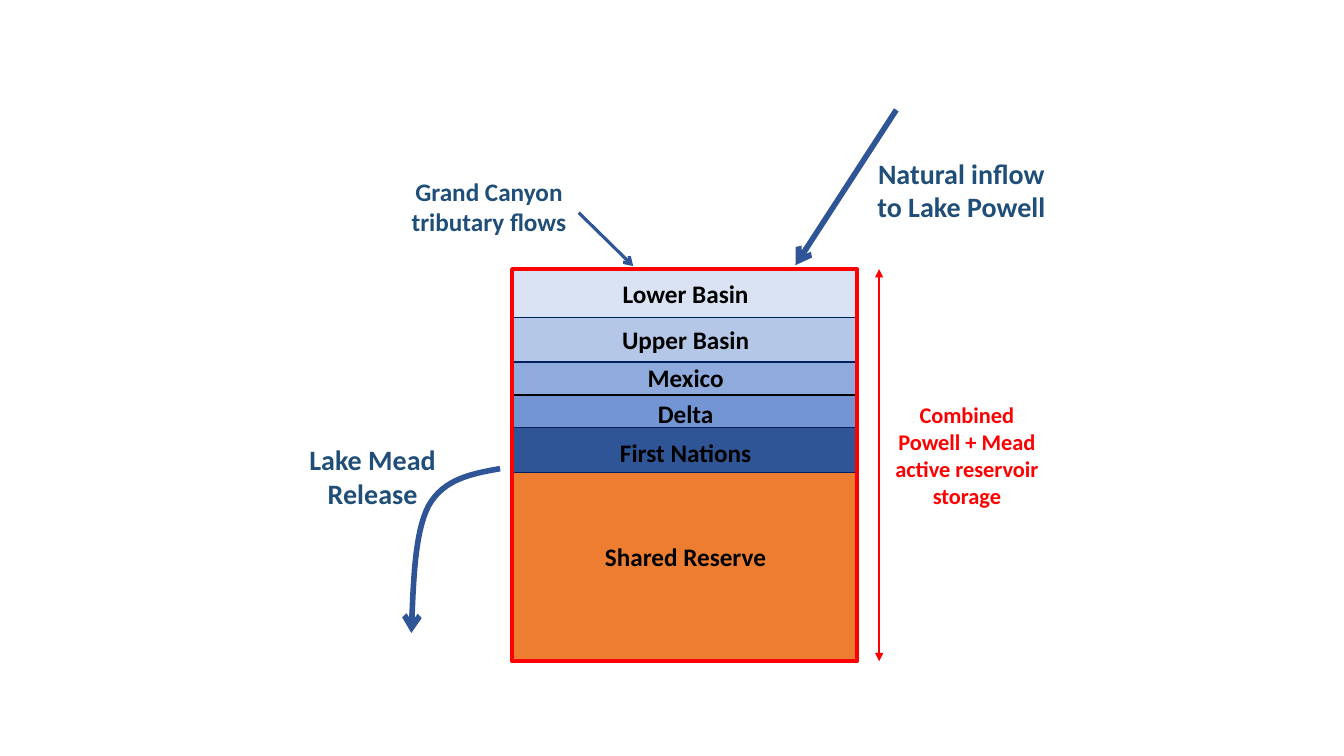
from itertools import accumulate

from lxml.etree import SubElement
from pptx import Presentation
from pptx.dml.color import RGBColor
from pptx.enum.shapes import MSO_CONNECTOR, MSO_SHAPE
from pptx.enum.text import PP_ALIGN
from pptx.oxml.ns import qn
from pptx.util import Inches, Pt

COLORS = {
    "text": "1F4E79", "flow": "2F5597", "red": "FF0000",
    "black": "000000", "navy": "002060",
    "lower": "DAE3F3", "upper": "B4C7E7", "mexico": "8FAADC",
    "delta": "7395D3", "nations": "2F5597", "reserve": "ED7D31",
}

# Storage block: left, top, width, height
LEFT, TOP, WIDTH, HEIGHT = 5.08, 2.67, 3.42, 3.89
MIDDLE = 6.8

# Layers from top down: name, height, fill, line, label top, width, height
LAYERS = [
    ("Lower Basin", 0.48, "lower", "navy", 2.71, 2.15, 0.4),
    ("Upper Basin", 0.44, "upper", "navy", 3.17, 2.18, 0.4),
    ("Mexico", 0.33, "mexico", "navy", 3.55, 0.99, 0.4),
    ("Delta", 0.32, "delta", "black", 3.9, 1.09, 0.4),
    ("First Nations", 0.45, "nations", "navy", 4.29, 2.15, 0.4),
    ("Shared Reserve", 1.87, "reserve", "black", 5.32, 2.16, 0.52),
]

# Captions: text, left, top, width, height, size, color
CAPTIONS = [
    ("Grand Canyon tributary flows", 3.93, 1.7, 1.84, 0.71, 18, "text"),
    ("Natural inflow to Lake Powell", 8.57, 1.5, 1.93, 0.77, 20, "text"),
    ("Lake Mead Release", 2.94, 4.34, 1.51, 0.77, 20, "text"),
    ("Combined Powell + Mead active reservoir storage",
     8.72, 3.93, 1.74, 1.18, 16, "red"),
]

# Release curve: two Bezier pieces, each with four points
RELEASE = [
    [(4.96, 4.65), (4.68, 4.7), (4.4, 4.75), (4.25, 5.02)],
    [(4.25, 5.02), (4.11, 5.29), (4.1, 5.78), (4.08, 6.28)],
]


def rgb(name):
    return RGBColor.from_string(COLORS[name])


def set_line(shape, color, width, head=None, tail=None):
    shape.line.color.rgb = rgb(color)
    shape.line.width = Pt(width)
    outline = shape.line._get_or_add_ln()
    for tag, kind in (("a:headEnd", head), ("a:tailEnd", tail)):
        if kind:
            SubElement(outline, qn(tag), type=kind)


def add_label(slide, text, left, top, width, height, size, color):
    box = slide.shapes.add_textbox(
        Inches(left), Inches(top), Inches(width), Inches(height))
    box.text_frame.word_wrap = True
    para = box.text_frame.paragraphs[0]
    para.text = text
    para.alignment = PP_ALIGN.CENTER
    para.font.name = "Calibri"
    para.font.size = Pt(size)
    para.font.bold = True
    para.font.color.rgb = rgb(color)


def add_block(slide, top, height, fill, color, width):
    block = slide.shapes.add_shape(
        MSO_SHAPE.RECTANGLE,
        Inches(LEFT), Inches(top), Inches(WIDTH), Inches(height))
    block.shadow.inherit = False
    if fill:
        block.fill.solid()
        block.fill.fore_color.rgb = rgb(fill)
    else:
        block.fill.background()
    set_line(block, color, width)


def add_arrow(slide, start, end, color, width, tail, head=None):
    arrow = slide.shapes.add_connector(
        MSO_CONNECTOR.STRAIGHT, *map(Inches, start + end))
    set_line(arrow, color, width, head, tail)
    SubElement(arrow._element.spPr, qn("a:effectLst"))


def bezier(points, t):
    weights = ((1 - t) ** 3, 3 * t * (1 - t) ** 2,
               3 * t ** 2 * (1 - t), t ** 3)
    return tuple(sum(w * p[axis] for w, p in zip(weights, points))
                 for axis in (0, 1))


def add_curve(slide, pieces, color, width, steps=16):
    points = [bezier(piece, step / steps)
              for piece in pieces for step in range(1, steps + 1)]
    start = pieces[0][0]
    pen = slide.shapes.build_freeform(*map(Inches, start))
    pen.add_line_segments(
        [(Inches(x), Inches(y)) for x, y in points], close=False)
    curve = pen.convert_to_shape()
    curve.shadow.inherit = False
    curve.fill.background()
    set_line(curve, color, width, tail="arrow")


def add_layers(slide):
    tops = accumulate((layer[1] for layer in LAYERS[:-1]), initial=TOP)
    stack = list(zip(LAYERS, tops))
    # The reserve lies below the other layers' borders
    for layer, top in stack[-1:] + stack[:-1]:
        name, height, fill, line, label_top, label_width, label_height = layer
        add_block(slide, top, height, fill, line, 1)
        add_label(slide, name, MIDDLE - label_width / 2, label_top,
                  label_width, label_height, 18, "black")


def main():
    deck = Presentation()
    deck.slide_width, deck.slide_height = Inches(13.33), Inches(7.5)
    slide = deck.slides.add_slide(deck.slide_layouts[6])

    # Captions
    for caption in CAPTIONS:
        add_label(slide, *caption)

    # Storage layers and red frame
    add_layers(slide)
    add_block(slide, TOP, HEIGHT, None, "red", 3)

    # Flows in and out
    add_arrow(slide, (8.89, 1.09), (7.89, 2.63), "flow", 4, "arrow")
    add_arrow(slide, (5.74, 2.11), (6.28, 2.64), "flow", 2.25, "arrow")
    add_curve(slide, RELEASE, "flow", 4)

    # Storage height
    add_arrow(slide, (8.72, TOP), (8.72, TOP + HEIGHT), "red", 1.5,
              "triangle", "triangle")

    deck.save("out.pptx")


if __name__ == "__main__":
    main()
